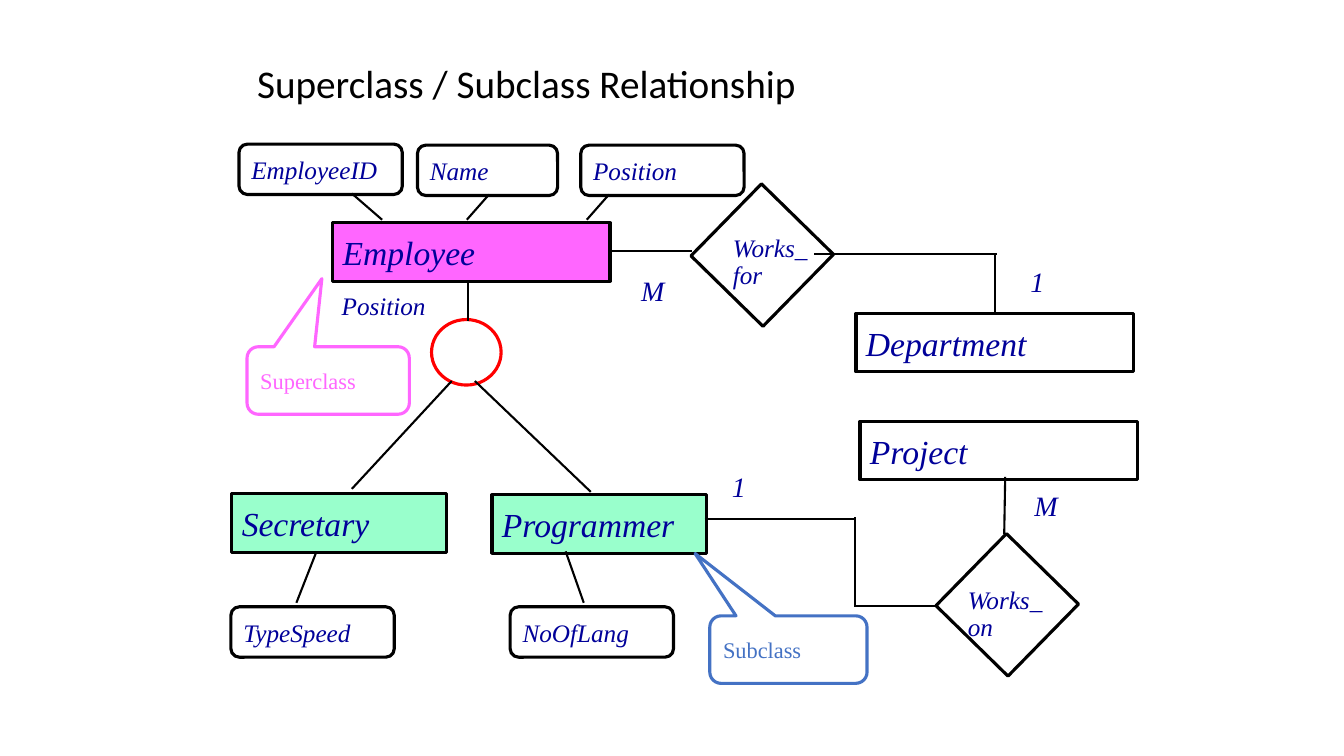
from dataclasses import dataclass

from lxml import etree
from pptx import Presentation
from pptx import util as u
from pptx.dml.color import RGBColor
from pptx.enum import shapes, text
from pptx.oxml import ns


@dataclass(frozen=True)
class Theme:
    serif: str = "Times New Roman"
    sans: str = "Calibri"
    ink: str = "000099"
    black: str = "000000"
    white: str = "FFFFFF"
    pink: str = "FF66FF"
    mint: str = "99FFCC"
    red: str = "FF0000"
    blue: str = "4472C4"
    title: int = 28
    entity: int = 24
    cardinality: int = 20
    attribute: int = 18
    callout: int = 16
    outline: float = 2.25
    link: float = 1.5


THEME = Theme()
SHAPE = shapes.MSO_SHAPE

TITLE = "Superclass / Subclass Relationship"
TITLE_BOX = (2.45, 0.23, 8.5, 1.25)

ENTITY_HEIGHT = 0.58
ENTITIES = [  # name, left, top, width, fill
    ("Department", 8.49, 3.11, 2.75, THEME.white),
    ("Employee", 3.3, 2.21, 2.75, THEME.pink),
    ("Project", 8.53, 4.18, 2.75, THEME.white),
    ("Secretary", 2.3, 4.9, 2.13, THEME.mint),
    ("Programmer", 4.88, 4.91, 2.13, THEME.mint),
]
ATTRIBUTE_HEIGHT = 0.5
ATTRIBUTES = [  # name, left, top, width
    ("EmployeeID", 2.37, 1.43, 1.62),
    ("Name", 4.14, 1.44, 1.39),
    ("Position", 5.76, 1.44, 1.62),
    ("TypeSpeed", 2.29, 6.02, 1.62),
    ("NoOfLang", 5.06, 6.02, 1.62),
]
DIAMOND_SIDE, DIAMOND_TURN = 1, 224.4
RELATIONSHIPS = [  # words, diamond left and top, label left and top
    ("Works_\nfor", (7.06, 2.03), (7.17, 2.29)),
    ("Works_\non", (9.49, 5.5), (9.5, 5.78)),
]
LABELS = [  # words, left, top, width, size
    ("M", 6.26, 2.66, 0.51, THEME.cardinality),
    ("M", 10.16, 4.8, 0.51, THEME.cardinality),
    ("1", 10.12, 2.58, 0.31, THEME.cardinality),
    ("1", 7.16, 4.61, 0.31, THEME.cardinality),
    ("Position", 3.29, 2.83, 1.21, THEME.attribute),
]
DISCRIMINATOR = (4.28, 3.17, 0.69, 0.65)
LINKS = [  # start x, start y, end x, end y
    (6.86, 2.49, 6.04, 2.49),  # Employee to Works_for
    (9.89, 2.52, 8.07, 2.52),  # Works_for to Department
    (9.87, 2.53, 9.87, 3.11),
    (9.97, 4.73, 9.96, 5.3),  # Project to Works_on
    (6.99, 5.15, 8.49, 5.15),  # Programmer to Works_on
    (8.48, 5.13, 8.48, 6.02),
    (9.28, 6.01, 8.48, 6.01),
    (3.49, 1.92, 3.79, 2.18),  # attributes to their entities
    (4.85, 1.93, 4.63, 2.18),
    (6.04, 1.93, 5.82, 2.18),
    (3.14, 5.47, 2.94, 5.98),
    (5.61, 5.47, 5.79, 5.98),
    (4.64, 2.78, 4.64, 3.18),  # Employee to its subclasses
    (4.48, 3.78, 3.49, 4.85),
    (4.71, 3.78, 5.86, 4.88),
]
CORNER = 0.167
CALLOUTS = [  # words, box, pointer offset, colour
    ("Superclass", (2.45, 3.44, 1.61, 0.67), (-0.039, -1.508), THEME.pink),
    ("Subclass", (7.04, 6.11, 1.56, 0.67), (-0.594, -1.424), THEME.blue),
]


def inches(values):
    return [u.Inches(value) for value in values]


def write(shape, words, size, color=THEME.ink, italic=True, font=THEME.serif,
          anchor=text.MSO_ANCHOR.MIDDLE, spacing=None):
    frame = shape.text_frame
    frame.text = words
    frame.word_wrap = True
    frame.vertical_anchor = anchor
    for para in frame.paragraphs:
        para.alignment = text.PP_ALIGN.LEFT
        para.line_spacing = spacing
        for span in para.runs:
            span.font.name = font
            span.font.size = u.Pt(size)
            span.font.italic = italic
            span.font.color.rgb = RGBColor.from_string(color)


def add_outlined(slide, kind, box, line=THEME.black, fill=THEME.white):
    shape = slide.shapes.add_shape(kind, *inches(box))
    shape.shadow.inherit = False
    shape.fill.solid()
    shape.fill.fore_color.rgb = RGBColor.from_string(fill)
    shape.line.color.rgb = RGBColor.from_string(line)
    shape.line.width = u.Pt(THEME.outline)
    return shape


def add_label(slide, words, box, size, spacing=None):
    label = slide.shapes.add_textbox(*inches(box))
    write(label, words, size, anchor=text.MSO_ANCHOR.TOP, spacing=spacing)


def add_link(slide, ends):
    link = slide.shapes.add_connector(shapes.MSO_CONNECTOR.STRAIGHT, *inches(ends))
    link.line.color.rgb = RGBColor.from_string(THEME.black)
    link.line.width = u.Pt(THEME.link)
    etree.SubElement(link._element.spPr, ns.qn("a:effectLst"))


def add_title(slide):
    title = slide.shapes.title
    title.left, title.top, title.width, title.height = inches(TITLE_BOX)
    write(title, TITLE, THEME.title, THEME.black, False, THEME.sans, spacing=0.9)


def main():
    deck = Presentation()
    deck.slide_width, deck.slide_height = inches((13.33, 7.5))
    slide = deck.slides.add_slide(deck.slide_layouts.get_by_name("Title Only"))
    add_title(slide)

    for words, corner, label_corner in RELATIONSHIPS:
        diamond = add_outlined(slide, SHAPE.RECTANGLE,
                               (*corner, DIAMOND_SIDE, DIAMOND_SIDE))
        diamond.rotation = DIAMOND_TURN
        add_label(slide, words, (*label_corner, 1.31, 0.38), THEME.attribute, 0.9)

    for name, left, top, width, fill in ENTITIES:
        entity = add_outlined(slide, SHAPE.RECTANGLE,
                              (left, top, width, ENTITY_HEIGHT), fill=fill)
        write(entity, name, THEME.entity)

    for name, left, top, width in ATTRIBUTES:
        attribute = add_outlined(slide, SHAPE.ROUNDED_RECTANGLE,
                                 (left, top, width, ATTRIBUTE_HEIGHT))
        attribute.adjustments[0] = CORNER
        write(attribute, name, THEME.attribute)

    add_outlined(slide, SHAPE.OVAL, DISCRIMINATOR, line=THEME.red)
    for ends in LINKS:
        add_link(slide, ends)
    for words, left, top, width, size in LABELS:
        add_label(slide, words, (left, top, width, 0.43), size)

    for words, box, pointer, color in CALLOUTS:
        callout = add_outlined(slide, SHAPE.ROUNDED_RECTANGULAR_CALLOUT, box, line=color)
        for index, value in enumerate((*pointer, CORNER)):
            callout.adjustments[index] = value
        write(callout, words, THEME.callout, color, italic=False)

    deck.save("out.pptx")


if __name__ == "__main__":
    main()
